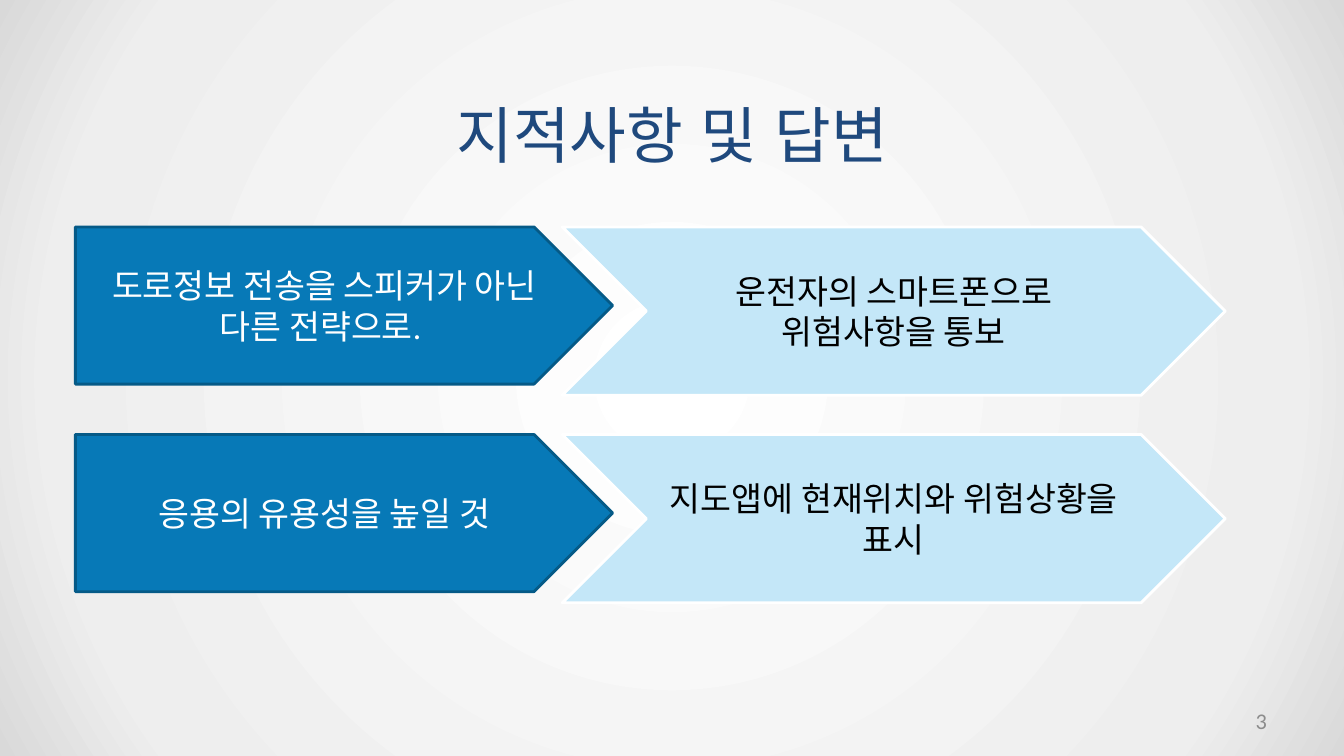
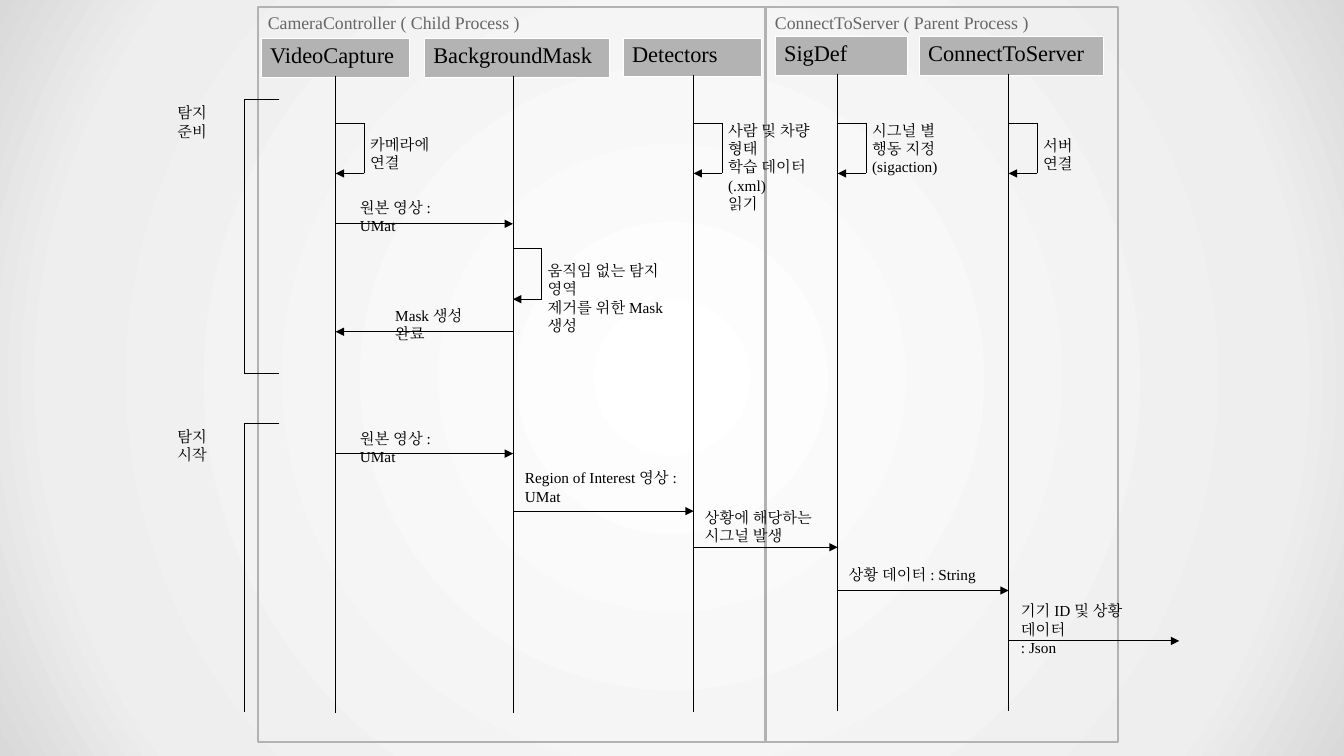
from lxml.etree import SubElement
from pptx import Presentation
from pptx.dml.color import RGBColor
from pptx.enum.shapes import MSO_CONNECTOR, MSO_SHAPE
from pptx.enum.text import MSO_ANCHOR, PP_ALIGN
from pptx.oxml.ns import qn
from pptx.util import Cm, Pt

BLACK = RGBColor(0x00, 0x00, 0x00)
WHITE = RGBColor(0xFF, 0xFF, 0xFF)
NAVY = RGBColor(0x1F, 0x49, 0x7D)
BLUE = RGBColor(0x07, 0x79, 0xB7)
DEEP = RGBColor(0x05, 0x5A, 0x87)
PALE = RGBColor(0xC4, 0xE7, 0xF8)
SILVER = RGBColor(0xB3, 0xB3, 0xB3)
EDGE = RGBColor(0xB2, 0xB2, 0xB2)
GRAY = RGBColor(0x66, 0x66, 0x66)
FAINT = RGBColor(0x8C, 0x8C, 0x8C)
GLOW = ((0, "FFFFFF"), (81, "EEEEEE"), (100, "D9D9D9"))
SERIF = "Times New Roman"
SANS = "Calibri"
KOREAN = "Noto Sans CJK KR"

ANSWERS = (
    ("도로정보 전송을 스피커가 아닌 다른 전략으로. ", SANS,
     "운전자의 스마트폰으로 위험사항을 통보", KOREAN),
    ("응용의 유용성을 높일 것", KOREAN,
     "지도앱에 현재위치와 위험상황을 표시", SANS),
)
FRAMES = (
    ("CameraController ( Child Process )", 0, 12.8),
    ("ConnectToServer ( Parent Process )", 12.78, 8.89),
)
LANES = (
    ("VideoCapture", 0.08, 0.79, 3.73, 1.96),
    ("BackgroundMask", 4.19, 0.79, 4.65, 6.43),
    ("Detectors", 9.2, 0.77, 3.48, 10.98),
    ("SigDef", 13.03, 0.74, 3.33, 14.61),
    ("ConnectToServer", 16.66, 0.74, 4.65, 18.92),
)
STOPS = [lane[4] for lane in LANES] + [23.22]
LOOPS = (
    (0, 2.92, "카메라에 연결", 3.12, 2.59),
    (1, 6.09, "움직임 없는 탐지 영역\n제거를 위한 Mask 생성", 6.3, 3.96),
    (2, 2.92, "사람 및 차량 형태\n학습 데이터(.xml)\n읽기", 2.77, 3.2),
    (3, 2.92, "시그널 별\n행동 지정\n(sigaction)", 2.77, 2.11),
    (4, 2.92, "서버 연결", 3.15, 1.9),
)
CALLS = (
    (0, 1, 5.46, "원본 영상 : UMat", 2.34, 4.72, 3.1),
    (1, 0, 8.18, "Mask 생성 완료", 3.23, 7.44, 2.84),
    (0, 1, 11.25, "원본 영상 : UMat", 2.34, 10.54, 3.1),
    (1, 2, 12.7, "Region of Interest 영상 : UMat", 6.5, 11.53, 4.29),
    (2, 3, 13.61, "상황에 해당하는\n시그널 발생", 11.03, 12.52, 3.43),
    (3, 4, 14.7, "상황 데이터 : String", 14.66, 13.97, 4.11),
    (4, 5, 15.97, "기기 ID 및 상황 데이터\n: Json", 19, 14.88, 4.11),
)
PHASES = (("탐지 준비", 2.33, 9.22, True), ("탐지 시작", 10.49, 17.75, False))


def paint(master):
    master.background.fill.gradient()
    grad = master.element.find(".//" + qn("a:gradFill"))
    for part in list(grad):
        grad.remove(part)
    stops = SubElement(grad, qn("a:gsLst"))
    for pos, tone in GLOW:
        stop = SubElement(stops, qn("a:gs"), pos=str(pos * 1000))
        SubElement(stop, qn("a:srgbClr"), val=tone)
    ring = SubElement(grad, qn("a:path"), {"path": "circle"})
    SubElement(ring, qn("a:fillToRect"), {side: "50000" for side in "ltrb"})


def write(frame, text, size, color, font, align=PP_ALIGN.LEFT):
    frame.text = text
    frame.word_wrap = True
    for para in frame.paragraphs:
        para.alignment = align
        for run in para.runs:
            run.font.size = Pt(size)
            run.font.color.rgb = color
            run.font.name = font
            props = run.font._element
            SubElement(props, qn("a:ea"), typeface=font)


def label(slide, box, text, size=10.9, color=BLACK, font=SERIF,
          align=PP_ALIGN.LEFT, pad=(0.23, 0.1)):
    frame = slide.shapes.add_textbox(*map(Cm, box)).text_frame
    frame.margin_left = frame.margin_right = Cm(pad[0])
    frame.margin_top = frame.margin_bottom = Cm(pad[1])
    write(frame, text, size, color, font, align)
    return frame


def block(slide, kind, box, fill, edge, width):
    shape = slide.shapes.add_shape(kind, *map(Cm, box))
    shape.shadow.inherit = False
    if fill is None:
        shape.fill.background()
    else:
        shape.fill.solid()
        shape.fill.fore_color.rgb = fill
    shape.line.color.rgb = edge
    shape.line.width = Pt(width)
    return shape.text_frame


def wire(slide, points, arrow=False):
    for start, end in zip(points, points[1:]):
        line = slide.shapes.add_connector(
            MSO_CONNECTOR.STRAIGHT, *map(Cm, (*start, *end)))
        line.line.color.rgb = BLACK
        line.line.width = Pt(0.75)
        SubElement(line._element.spPr, qn("a:effectLst"))
    if arrow:
        SubElement(line.line._get_or_add_ln(), qn("a:tailEnd"), type="triangle")


def head(slide, box, text):
    table = slide.shapes.add_table(1, 1, *map(Cm, box)).table
    cell = table.cell(0, 0)
    cell.margin_left = cell.margin_right = Cm(0.23)
    cell.margin_top = cell.margin_bottom = Cm(0.12)
    write(cell.text_frame, text, 16, BLACK, SERIF)
    props = cell._tc.get_or_add_tcPr()
    for side in ("a:lnL", "a:lnR", "a:lnT", "a:lnB"):
        line = SubElement(props, qn(side), w="762")
        fill = SubElement(line, qn("a:solidFill"))
        SubElement(fill, qn("a:srgbClr"), val=str(WHITE))
    cell.fill.solid()
    cell.fill.fore_color.rgb = SILVER


def answer(slide, left, top, row):
    remark, font, reply, face = row
    parts = (
        (MSO_SHAPE.PENTAGON, 0, 13.54, 3.96, BLUE, DEEP, remark, WHITE, font),
        (MSO_SHAPE.CHEVRON, 12.27, 16.71, 4.24, PALE, WHITE, reply, BLACK, face),
    )
    for kind, shift, width, height, fill, edge, text, ink, name in parts:
        frame = block(slide, kind, (left + shift, top, width, height),
                      fill, edge, 2)
        frame.vertical_anchor = MSO_ANCHOR.MIDDLE
        write(frame, text, 24, ink, name, PP_ALIGN.CENTER)


def review(slide):
    label(slide, (10.39, 2.31, 13.11, 2.13), "지적사항 및 답변", 44, NAVY,
          "Arial", PP_ALIGN.CENTER, (0.25, 0.13))
    for rank, row in enumerate(ANSWERS):
        answer(slide, 1.9, 5.72 + rank * 5.23, row)
    page = label(slide, (24.28, 17.65, 7.9, 1.02), "3", 16, FAINT, SANS,
                 PP_ALIGN.RIGHT, (0.25, 0.13))
    page.vertical_anchor = MSO_ANCHOR.MIDDLE


def frames(slide, left, top):
    for text, shift, width in FRAMES:
        frame = block(slide, MSO_SHAPE.RECTANGLE,
                      (left + shift, top, width, 18.52), None, EDGE, 1.42)
        frame.vertical_anchor = MSO_ANCHOR.TOP
        write(frame, text, 12.7, GRAY, SERIF)


def lanes(slide, left, top):
    for text, shift, drop, width, stem in LANES:
        head(slide, (left + shift, top + drop, width, 0.97), text)
        start = top + drop + 0.94
        wire(slide, [(left + stem, start), (left + stem, start + 16.05)])


def loops(slide, left, top):
    for lane, drop, text, rise, width in LOOPS:
        x, y = left + STOPS[lane], top + drop
        wire(slide, [(x, y), (x + 0.72, y), (x + 0.72, y + 1.27),
                     (x, y + 1.27)], True)
        label(slide, (x + 0.64, top + rise, width, 0.66), text)


def calls(slide, left, top):
    for start, end, drop, text, shift, rise, width in CALLS:
        y = top + drop
        wire(slide, [(left + STOPS[start], y), (left + STOPS[end], y)], True)
        label(slide, (left + shift, top + rise, width, 0.71), text)


def phases(slide, left, top):
    for text, start, end, closed in PHASES:
        near, far = left - 0.35, left + 0.54
        points = [(far, top + start), (near, top + start), (near, top + end)]
        if closed:
            points.append((far, top + end))
        wire(slide, points)
        label(slide, (left - 2.26, top + start, 1.9, 0.66), text)


def sequence(slide):
    for draw in (frames, lanes, loops, calls, phases):
        draw(slide, 6.5, 0.18)


def main():
    deck = Presentation()
    deck.slide_width, deck.slide_height = Cm(33.87), Cm(19.05)
    paint(deck.slide_master)
    for build in (review, sequence):
        build(deck.slides.add_slide(deck.slide_layouts[6]))
    deck.save("out.pptx")


if __name__ == "__main__":
    main()
